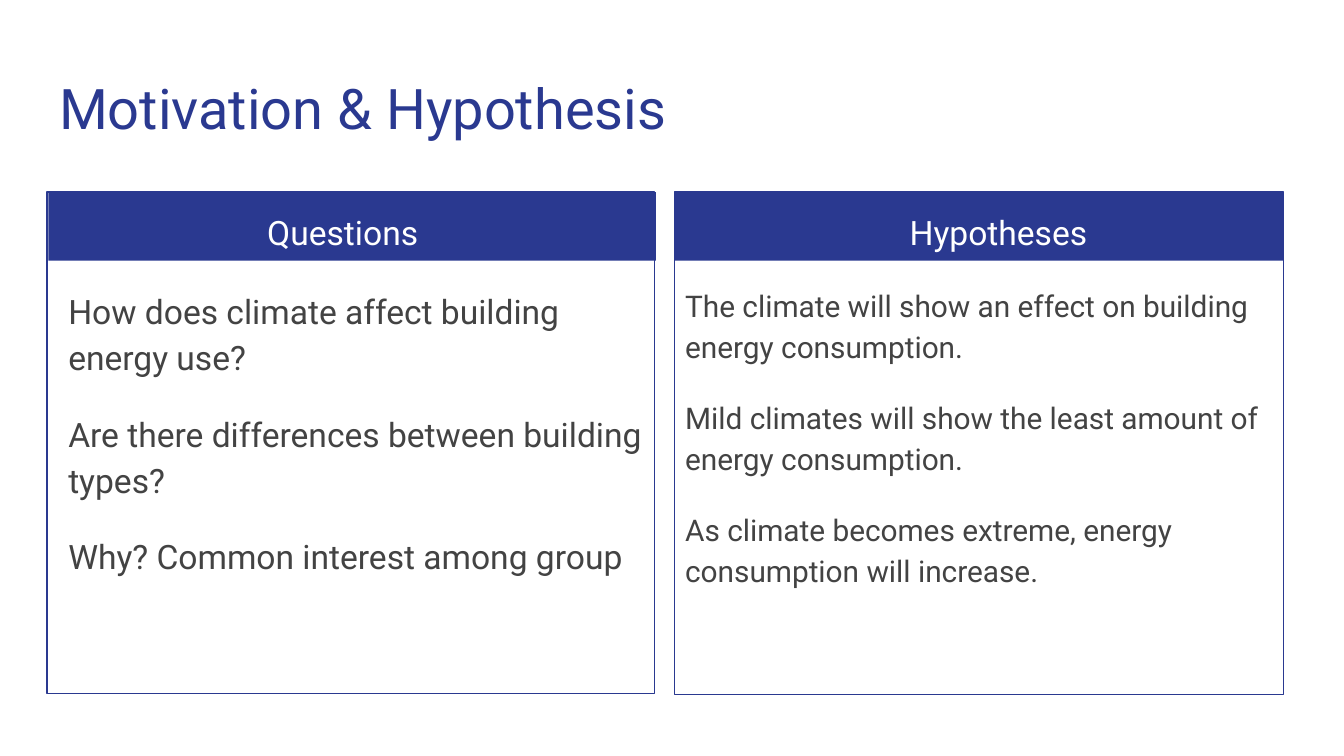
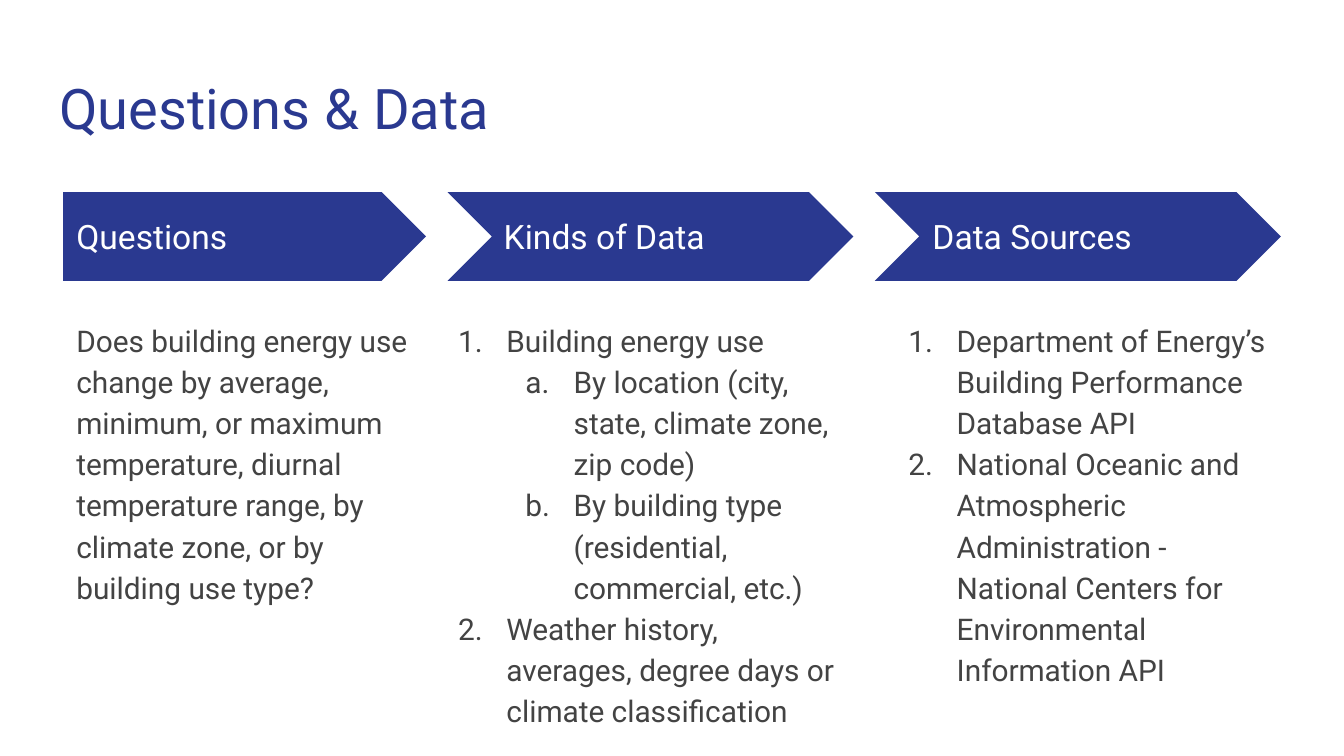
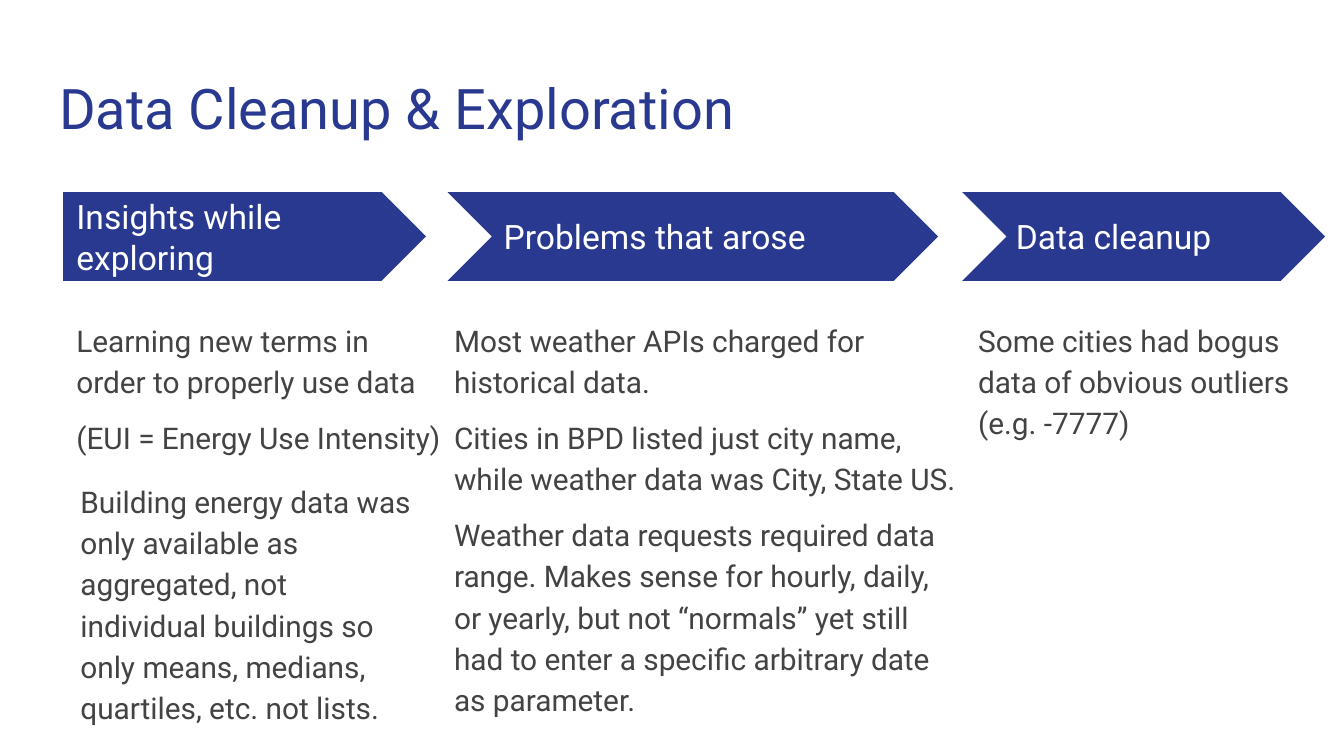
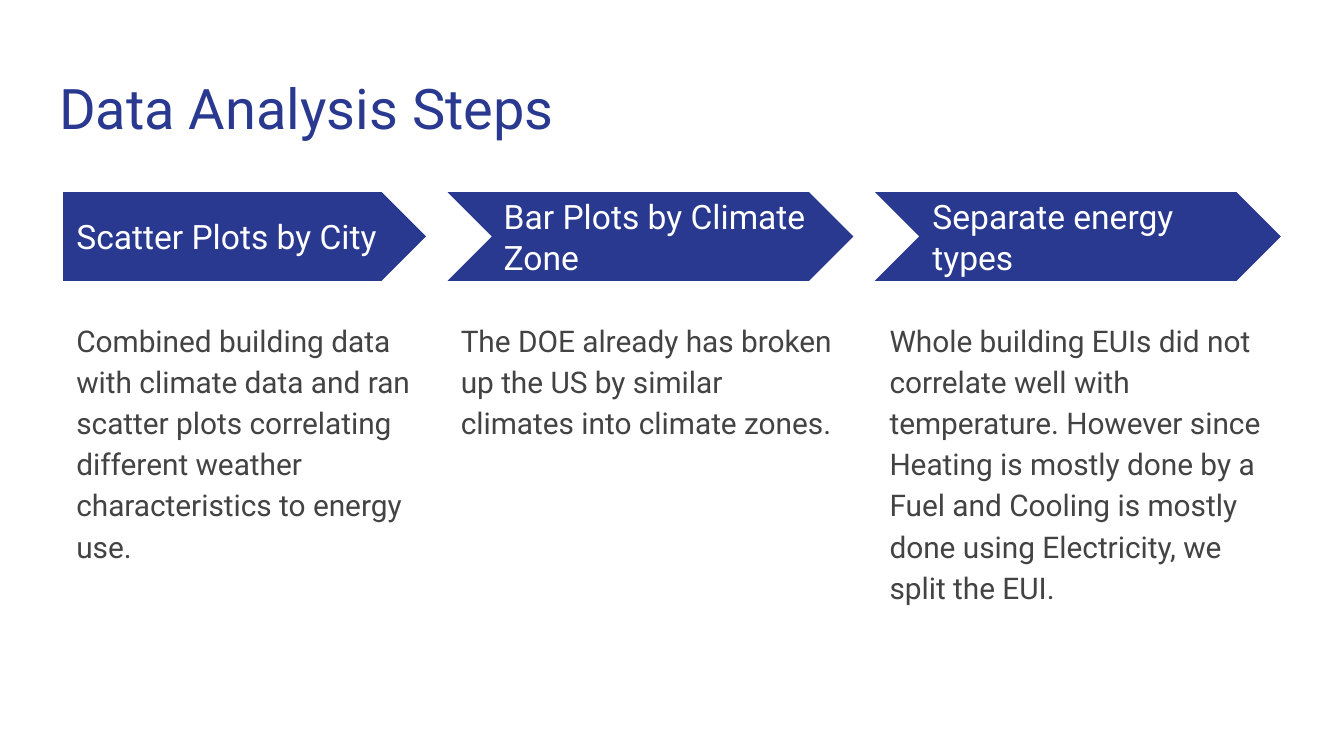
"""Build four slides on building energy use and climate."""
from lxml import etree
from pptx import Presentation
from pptx import util as u
from pptx.dml import color
from pptx.enum import shapes, text
from pptx.oxml import ns

COLORS = {"navy": "2A3990", "body": "434343", "white": "FFFFFF"}
FONT = "Roboto"
SLIDE_WIDTH = u.Inches(10)
SLIDE_HEIGHT = SLIDE_WIDTH * 9 // 16
TITLE_BOX = (0.34, 0.45, 9.32, 0.66)
BAND_TOP, PANEL_BAND, ARROW_BAND = 1.43, 0.51, 0.66
BODY_TOP, BODY_HEIGHT = 2.26, 2.9
NUMBERING = ("arabicPeriod", "alphaLcPeriod")

STYLES = {
    "title": {"size": 30, "color": "navy", "paragraph": {}},
    "panel heading": {"size": 18, "color": "white", "paragraph": {"line_spacing": 1.15}},
    "arrow heading": {"size": 18, "color": "white", "paragraph": {}},
    "body": {"size": 16, "color": "body", "paragraph": {"line_spacing": 1.15}},
    "large body": {"size": 18, "color": "body", "paragraph": {"line_spacing": 1.15}},
}

PANEL_TITLE = "Motivation & Hypothesis"
PANELS = [
    {"heading": "Hypotheses", "band": (5.02, 4.53), "frame": (5.02, 4.53, 3.74),
     "heading_left": 6.67, "box": (5, 2, 4.66, 3.06), "style": "body",
     "lines": ["The climate will show an effect on building energy consumption.",
               "Mild climates will show the least amount of energy consumption.",
               "As climate becomes extreme, energy consumption will increase."]},
    {"heading": "Questions", "band": (0.36, 4.52), "frame": (0.35, 4.52, 3.73),
     "heading_left": 1.89, "box": (0.41, 2.02, 4.53, 3), "style": "large body",
     "lines": ["How does climate affect building energy use?",
               "Are there differences between building types?",
               "Why? Common interest among group"]},
]

EVEN_ARROWS = [(0.47, 2.7, 0.47), (3.33, 3.02, 3.65), (6.51, 3.02, 6.84)]
WIDE_MIDDLE = [(0.47, 2.7, 0.47), (3.33, 3.65, 3.65), (7.16, 2.7, 7.46)]

STEP_SLIDES = [
    {"title": "Questions & Data", "arrows": EVEN_ARROWS,
     "headings": ["Questions", "Kinds of Data", "Data Sources"],
     "bodies": [
         {"across": (0.47, 2.7), "lines": [
             "Does building energy use change by average, minimum, or maximum temperature, "
             "diurnal temperature range, by climate zone, or by building use type?"]},
         {"across": (3.17, 3.18), "levels": [0, 1, 1, 0], "lines": [
             "Building energy use",
             "By location (city, state, climate zone, zip code)",
             "By building type (residential, commercial, etc.)",
             "Weather history, averages, degree days or climate classification"]},
         {"across": (6.52, 3.02), "levels": [0, 0], "lines": [
             "Department of Energy’s Building Performance Database API",
             "National Oceanic and Atmospheric Administration - "
             "National Centers for Environmental Information API"]},
     ]},
    {"title": "Data Cleanup & Exploration", "arrows": WIDE_MIDDLE,
     "headings": ["Insights while exploring", "Problems that arose", "Data cleanup"],
     "bodies": [
         {"across": (0.5, 2.7), "down": (3.46, 1.99), "lines": [
             "Building energy data was only available as aggregated, not individual "
             "buildings so only means, medians, quartiles, etc. not lists."]},
         {"across": (3.28, 3.99), "lines": [
             "Most weather APIs charged for historical data.",
             "Cities in BPD listed just city name, while weather data was City, State US.",
             "Weather data requests required data range. Makes sense for hourly, daily, or "
             "yearly, but not “normals” yet still had to enter a specific arbitrary date "
             "as parameter."]},
         {"across": (7.18, 2.7), "lines": [
             "Some cities had bogus data of obvious outliers (e.g. -7777)"]},
         {"across": (0.47, 2.92), "down": (2.26, 1.35), "lines": [
             "Learning new terms in order to properly use data",
             "(EUI = Energy Use Intensity)"]},
     ]},
    {"title": "Data Analysis Steps", "arrows": EVEN_ARROWS,
     "headings": ["Scatter Plots by City", "Bar Plots by Climate Zone",
                  "Separate energy types"],
     "bodies": [
         {"across": (0.47, 2.7), "lines": [
             "Combined building data with climate data and ran scatter plots correlating "
             "different weather characteristics to energy use."]},
         {"across": (3.33, 3.02), "lines": [
             "The DOE already has broken up the US by similar climates into climate zones."]},
         {"across": (6.52, 3.02), "lines": [
             "Whole building EUIs did not correlate well with temperature. However since "
             "Heating is mostly done by a Fuel and Cooling is mostly done using "
             "Electricity, we split the EUI."]},
     ]},
]


def rgb(name):
    return color.RGBColor.from_string(COLORS[name])


def inches(box):
    return [u.Inches(length) for length in box]


def apply(target, values):
    for key, value in values.items():
        setattr(target, key, value)


def number(paragraph, level):
    paragraph.level = level
    props = paragraph._p.get_or_add_pPr()
    props.set("marL", str(u.Inches(0.5 * (level + 1))))
    props.set("indent", str(u.Inches(-0.36)))
    bullet_color = etree.SubElement(props, ns.qn("a:buClr"))
    etree.SubElement(bullet_color, ns.qn("a:srgbClr")).set("val", COLORS["body"])
    etree.SubElement(props, ns.qn("a:buAutoNum")).set("type", NUMBERING[level])


def write(holder, lines, style, gap=0, levels=None, anchor=text.MSO_ANCHOR.TOP):
    look, frame = STYLES[style], holder.text_frame
    margins = {f"margin_{side}": u.Inches(0.1) for side in ("left", "top", "right", "bottom")}
    apply(frame, {"word_wrap": True, "auto_size": text.MSO_AUTO_SIZE.NONE,
                  "vertical_anchor": anchor, **margins})
    for index, line in enumerate(lines):
        paragraph = frame.add_paragraph() if index else frame.paragraphs[0]
        apply(paragraph, {"alignment": text.PP_ALIGN.LEFT,
                          "space_before": u.Pt(gap if index else 0),
                          "space_after": u.Pt(gap if index == len(lines) - 1 else 0),
                          **look["paragraph"]})
        if levels:
            number(paragraph, levels[index])
        run = paragraph.add_run()
        run.text = line
        apply(run.font, {"name": FONT, "size": u.Pt(look["size"])})
        run.font.color.rgb = rgb(look["color"])


def add_text(slide, box, lines, style, **options):
    write(slide.shapes.add_textbox(*inches(box)), lines, style, **options)


def add_block(slide, kind, box, filled=True):
    block = slide.shapes.add_shape(kind, *inches(box))
    block.shadow.inherit = False
    if filled:
        block.fill.solid()
        block.fill.fore_color.rgb = rgb("navy")
        block.line.fill.background()
    else:
        block.fill.background()
        block.line.color.rgb = rgb("navy")
        block.line.width = u.Pt(0.75)


def add_titled_slide(deck, title):
    slide = deck.slides.add_slide(deck.slide_layouts[5])
    holder = slide.shapes.title
    apply(holder, dict(zip(("left", "top", "width", "height"), inches(TITLE_BOX))))
    write(holder, [title], "title")
    return slide


def add_panel_slide(deck):
    slide = add_titled_slide(deck, PANEL_TITLE)
    rectangle = shapes.MSO_SHAPE.RECTANGLE
    for panel in PANELS:
        left, width = panel["band"]
        add_block(slide, rectangle, (left, BAND_TOP, width, PANEL_BAND))
        left, width, height = panel["frame"]
        add_block(slide, rectangle, (left, BAND_TOP, width, height), filled=False)
        add_text(slide, (panel["heading_left"], BAND_TOP, 2.73, 0.5),
                 [panel["heading"]], "panel heading")
        add_text(slide, panel["box"], panel["lines"], panel["style"], gap=16)


def add_step_slide(deck, content):
    slide = add_titled_slide(deck, content["title"])
    for index, (arrow, heading) in enumerate(zip(content["arrows"], content["headings"])):
        left, width, heading_left = arrow
        kind = shapes.MSO_SHAPE.CHEVRON if index else shapes.MSO_SHAPE.PENTAGON
        add_block(slide, kind, (left, BAND_TOP, width, ARROW_BAND))
        add_text(slide, (heading_left, BAND_TOP + 0.16, 2.47, ARROW_BAND - 0.32),
                 [heading], "arrow heading", anchor=text.MSO_ANCHOR.MIDDLE)
    for body in content["bodies"]:
        left, width = body["across"]
        top, height = body.get("down", (BODY_TOP, BODY_HEIGHT))
        levels = body.get("levels")
        add_text(slide, (left, top, width, height), body["lines"], "body",
                 gap=0 if levels else 8, levels=levels)


def main():
    deck = Presentation()
    apply(deck, {"slide_width": SLIDE_WIDTH, "slide_height": SLIDE_HEIGHT})
    add_panel_slide(deck)
    for content in STEP_SLIDES:
        add_step_slide(deck, content)
    deck.save("out.pptx")


if __name__ == "__main__":
    main()
